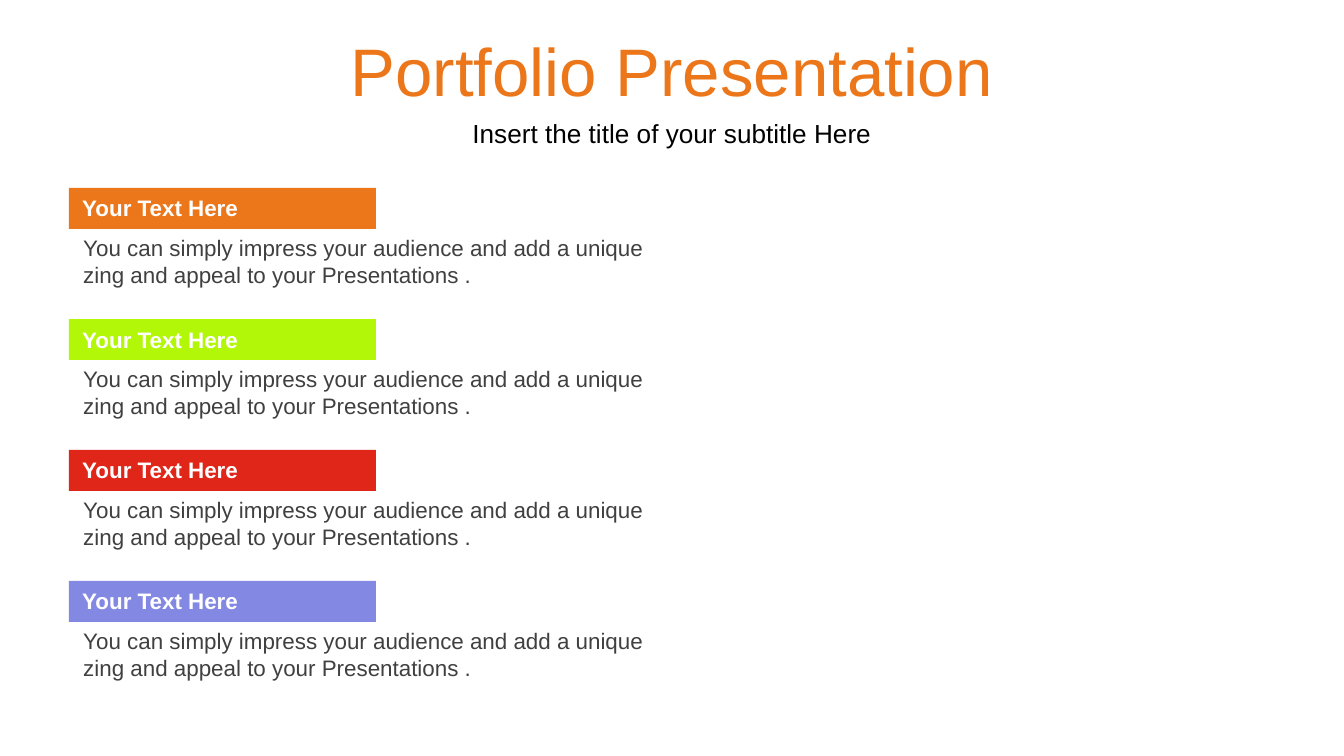
import dataclasses

import pptx
import pptx.dml.color
import pptx.enum.shapes
import pptx.enum.text
import pptx.util

EMU_PER_PX = 914400 / 134.4
ALIGN = pptx.enum.text.PP_ALIGN
ANCHOR = pptx.enum.text.MSO_ANCHOR


@dataclasses.dataclass(frozen=True)
class Theme:
    font: str = "Arial"
    orange: str = "EC771B"
    lime: str = "B2F608"
    red: str = "DF2619"
    violet: str = "8388E3"
    black: str = "000000"
    grey: str = "404040"
    white: str = "FFFFFF"
    title_size: int = 36
    subtitle_size: int = 14
    text_size: int = 12


@dataclasses.dataclass(frozen=True)
class Area:
    left: int
    top: int
    width: int
    height: int

    def emu(self) -> list[pptx.util.Emu]:
        return [px(value) for value in dataclasses.astuple(self)]


@dataclasses.dataclass(frozen=True)
class Section:
    heading: str
    text: str
    color: str


THEME = Theme()
HEADING = "Your Text Here"
TEXT = ("You can simply impress your audience and add a unique "
        "zing and appeal to your Presentations .")
SECTIONS = [Section(HEADING, TEXT, color)
            for color in (THEME.orange, THEME.lime, THEME.red, THEME.violet)]
FIRST_TOP = 188
SECTION_PITCH = 131


def px(value: int) -> pptx.util.Emu:
    return pptx.util.Emu(round(value * EMU_PER_PX))


def rgb(color: str) -> pptx.dml.color.RGBColor:
    return pptx.dml.color.RGBColor.from_string(color)


def write(shape, text: str, size: int, color: str, bold: bool = False,
          align=ALIGN.LEFT, anchor=ANCHOR.TOP) -> None:
    frame = shape.text_frame
    frame.word_wrap = True
    frame.auto_size = pptx.enum.text.MSO_AUTO_SIZE.NONE
    frame.vertical_anchor = anchor
    para = frame.paragraphs[0]
    para.alignment = align
    span = para.add_run()
    span.text = text
    span.font.name = THEME.font
    span.font.size = pptx.util.Pt(size)
    span.font.bold = bold
    span.font.color.rgb = rgb(color)


def draw_section(page, section: Section, top: int) -> None:
    group = page.shapes.add_group_shape()
    box = group.shapes.add_textbox(*Area(70, top + 40, 602, 67).emu())
    write(box, section.text, THEME.text_size, THEME.grey)

    bar = group.shapes.add_shape(pptx.enum.shapes.MSO_SHAPE.RECTANGLE,
                                 *Area(69, top, 307, 41).emu())
    bar.shadow.inherit = False
    bar.fill.solid()
    bar.fill.fore_color.rgb = rgb(section.color)
    bar.line.fill.background()
    write(bar, section.heading, THEME.text_size, THEME.white, bold=True)


def main() -> None:
    deck = pptx.Presentation()
    deck.slide_width, deck.slide_height = px(1344), px(756)
    page = deck.slides.add_slide(deck.slide_layouts.get_by_name("Title Only"))

    # Title and subtitle
    title = page.shapes.title
    title.left, title.top, title.width, title.height = Area(0, 27, 1344, 85).emu()
    write(title, "Portfolio Presentation", THEME.title_size, THEME.orange,
          align=ALIGN.CENTER, anchor=ANCHOR.MIDDLE)
    subtitle = page.shapes.add_textbox(*Area(0, 112, 1344, 42).emu())
    write(subtitle, "Insert the title of your subtitle Here",
          THEME.subtitle_size, THEME.black,
          align=ALIGN.CENTER, anchor=ANCHOR.MIDDLE)

    # Four coloured headings with their texts
    for index, section in enumerate(SECTIONS):
        draw_section(page, section, FIRST_TOP + index * SECTION_PITCH)

    deck.save("out.pptx")


if __name__ == "__main__":
    main()
